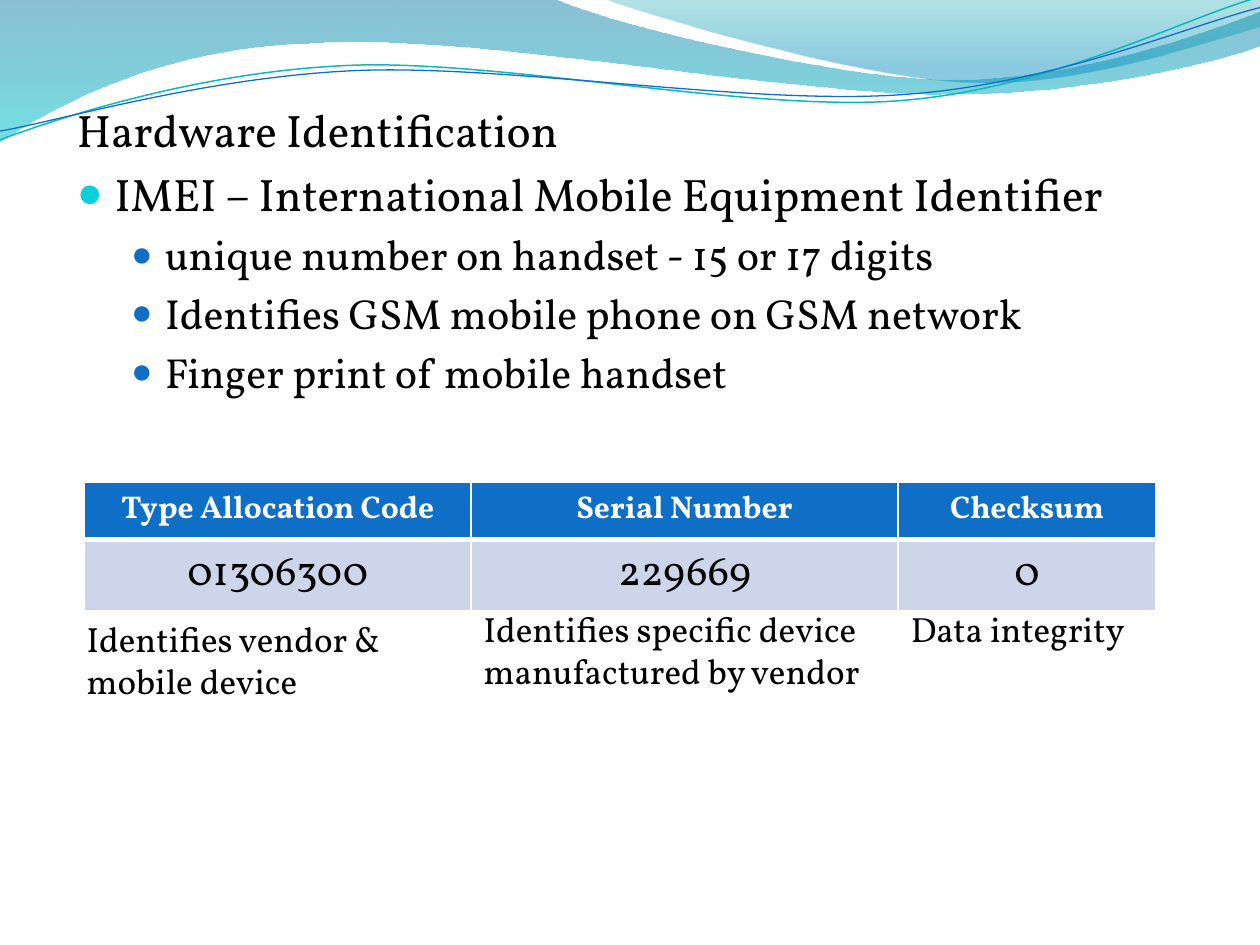
from lxml.etree import SubElement
from pptx import Presentation
from pptx.dml.color import RGBColor
from pptx.enum.text import MSO_AUTO_SIZE as AutoSize, PP_ALIGN as Align
from pptx.oxml.ns import qn
from pptx.util import Pt

FONT = "Vollkorn"
COLORS = {
    "text": "000000", "white": "FFFFFF", "blue": "0F6FC6", "cyan": "0BD0D9",
    "teal": "0AB8BF", "row": "CCD5EA",
    "wave_top": "0074A1", "wave_bottom": "00C6CF",
    "crest_top": "00A1A9", "crest_bottom": "008BBF",
}

# Outlines: a pair is a straight step, six numbers are a Bézier curve
WAVE = [
    (0, 0), (316.8, -0.7),
    (342.7, 12.2, 478, 45.4, 545.8, 45.4), (614.2, 45.4, 689.8, 18.7, 720, 6.5),
    (720.7, 25.9),
    (707.8, 31.7, 626.4, 54.7, 537.1, 54), (447.8, 54, 275, 20.2, 185, 24.5),
    (92.9, 25.9, 33.1, 59.8, -0.7, 81.4),
]
CREST = [
    (344.9, -0.7),
    (366.5, 7.9, 491, 44.6, 553.7, 46.8), (616.3, 49.7, 691.9, 23, 720, 15.1),
    (720, 0),
]
TEAL_LINE = [
    (0, 79.9), (34.6, 67, 113.8, 41, 199.4, 37.4),
    (284.4, 33.8, 427, 64.1, 513.4, 57.6), (599.8, 51.1, 675.4, 10.8, 718.6, -1.4),
]
BLUE_LINE = [
    (0, 74.9), (33.8, 69.1, 118.1, 43.9, 203.8, 40.3),
    (290.2, 36.7, 429.8, 60.5, 516.2, 54), (601.9, 48.2, 677.5, 15.1, 720, 4.3),
]

# Paragraph levels: left margin, hanging indent, size, bullet colour, bullet size %
LEVELS = {
    "heading": (21.6, 21.6, 26, None, None),
    "point": (21.6, 21.6, 26, "cyan", 95),
    "detail": (50.4, 19.4, 24, "blue", 85),
}
BODY = [
    ("heading", "Hardware Identification"),
    ("point", "IMEI – International Mobile Equipment Identifier"),
    ("detail", "unique number on handset - 15 or 17 digits"),
    ("detail", "Identifies GSM mobile phone on GSM network"),
    ("detail", "Finger print of mobile handset"),
]
COLUMN_WIDTHS = [221, 244, 147.5]
ROW_HEIGHT = 29.5
ROWS = [
    (["Type Allocation Code", "Serial Number", "Checksum"],
     "blue", {"size": 18, "color": "white", "bold": True}),
    (["01306300", "229669", "0"], "row", {"size": 24}),
]
CAPTIONS = [
    ("Identifies vendor & mobile device", (42.5, 349.2, 221, 55.4)),
    ("Identifies specific device manufactured by vendor", (269.3, 343.4, 232.6, 55.4)),
    ("Data integrity", (513.4, 343.4, 147.6, 31.7)),
]


def rgb(name):
    return RGBColor.from_string(COLORS[name])


def write(para, text, size=20, color="text", bold=False, align=Align.LEFT):
    para.alignment = align
    span = para.add_run()
    span.text = text
    span.font.name, span.font.size, span.font.bold = FONT, Pt(size), bold
    span.font.color.rgb = rgb(color)


def add_outline(page, outline, left, top, close):
    """Join the end points of the parts, then bend the curved ones."""
    ends = [(Pt(left + part[-2]), Pt(top + part[-1])) for part in outline]
    builder = page.shapes.build_freeform(*ends[0])
    builder.add_line_segments(ends[1:], close=close)
    shape = builder.convert_to_shape()
    shape.shadow.inherit = False
    segments = shape._element.spPr.findall(".//" + qn("a:lnTo"))
    for segment, part in zip(segments, outline[1:]):
        if len(part) == 2:
            continue
        curve = segment.makeelement(qn("a:cubicBezTo"), {})
        for x, y in zip(part[::2], part[1::2]):
            SubElement(curve, qn("a:pt"), x=str(Pt(left + x) - shape.left),
                       y=str(Pt(top + y) - shape.top))
        segment.getparent().replace(segment, curve)
    return shape


def add_waves(page, left, top):
    # Translucent gradient bands: colour, position, opacity %
    for outline, stops in (
        (WAVE, [("wave_top", 0, 45), ("wave_bottom", 1, 55)]),
        (CREST, [("crest_top", 0, 30), ("crest_bottom", 0.8, 45)]),
    ):
        band = add_outline(page, outline, left, top, True)
        band.line.fill.background()
        band.fill.gradient()
        band.fill.gradient_angle = 270
        for stop, (color, position, _) in zip(band.fill.gradient_stops, stops):
            stop.color.rgb = rgb(color)
            stop.position = position
        tints = band._element.spPr.findall(".//" + qn("a:srgbClr"))
        for tint, (_, _, opacity) in zip(tints, stops):
            SubElement(tint, qn("a:alpha"), val=str(opacity * 1000))
    # Thin lines
    for outline, color, width in ((TEAL_LINE, "teal", 0.85), (BLUE_LINE, "blue", 0.75)):
        curve = add_outline(page, outline, left, top, False)
        curve.fill.background()
        curve.line.color.rgb = rgb(color)
        curve.line.width = Pt(width)


def set_bullet(para, margin, hanging, color, percent):
    props = para._p.get_or_add_pPr()
    props.set("marL", str(Pt(margin)))
    props.set("indent", str(-Pt(hanging)))
    if color is None:
        SubElement(props, qn("a:buNone"))
        return
    SubElement(SubElement(props, qn("a:buClr")), qn("a:srgbClr"), val=COLORS[color])
    SubElement(props, qn("a:buSzPct"), val=str(percent * 1000))
    SubElement(props, qn("a:buChar"), char="●")


def place(shape, left, top, width, height):
    shape.left, shape.top, shape.width, shape.height = map(Pt, (left, top, width, height))


def add_body(page, *area):
    box = page.placeholders[1]
    place(box, *area)
    frame = box.text_frame
    frame.auto_size = AutoSize.NONE
    for index, (level, text) in enumerate(BODY):
        para = frame.add_paragraph() if index else frame.paragraphs[0]
        margin, hanging, size, color, percent = LEVELS[level]
        para.level = int(level == "detail")
        set_bullet(para, margin, hanging, color, percent)
        # A fifth of the text size separates paragraphs
        para.space_before = Pt(size * 0.2 if index else 0)
        write(para, text, size=size)


def set_borders(cell, **widths):
    props = cell._tc.get_or_add_tcPr()
    for index, side in enumerate(("lnL", "lnR", "lnT", "lnB")):
        border = props.makeelement(qn("a:" + side), {"w": str(Pt(widths.get(side, 1)))})
        fill = SubElement(border, qn("a:solidFill"))
        SubElement(fill, qn("a:srgbClr"), val=COLORS["white"])
        props.insert(index, border)


def add_code_table(page, left, top):
    table = page.shapes.add_table(
        len(ROWS), len(COLUMN_WIDTHS), Pt(left), Pt(top),
        Pt(sum(COLUMN_WIDTHS)), Pt(ROW_HEIGHT * len(ROWS))).table
    for column, width in zip(table.columns, COLUMN_WIDTHS):
        column.width = Pt(width)
    for index, (texts, fill, style) in enumerate(ROWS):
        for cell, text in zip(table.rows[index].cells, texts):
            cell.fill.solid()
            cell.fill.fore_color.rgb = rgb(fill)
            # The rule between header and values is heavier
            set_borders(cell, **{"lnT" if index else "lnB": 3})
            write(cell.text_frame.paragraphs[0], text, align=Align.CENTER, **style)


def add_caption(page, text, area):
    box = page.shapes.add_textbox(*map(Pt, area))
    box.text_frame.word_wrap = True
    write(box.text_frame.paragraphs[0], text)


def main():
    deck = Presentation()
    deck.slide_width, deck.slide_height = Pt(720), Pt(540)
    page = deck.slides.add_slide(deck.slide_layouts[1])
    # The heading is the first line of the body, so the title goes
    title = page.shapes.title._element
    title.getparent().remove(title)

    add_waves(page, 0, 0)
    add_body(page, 36.7, 54.7, 647.3, 465)
    add_code_table(page, 48.2, 275.8)
    for text, area in CAPTIONS:
        add_caption(page, text, area)
    deck.save("out.pptx")


if __name__ == "__main__":
    main()
